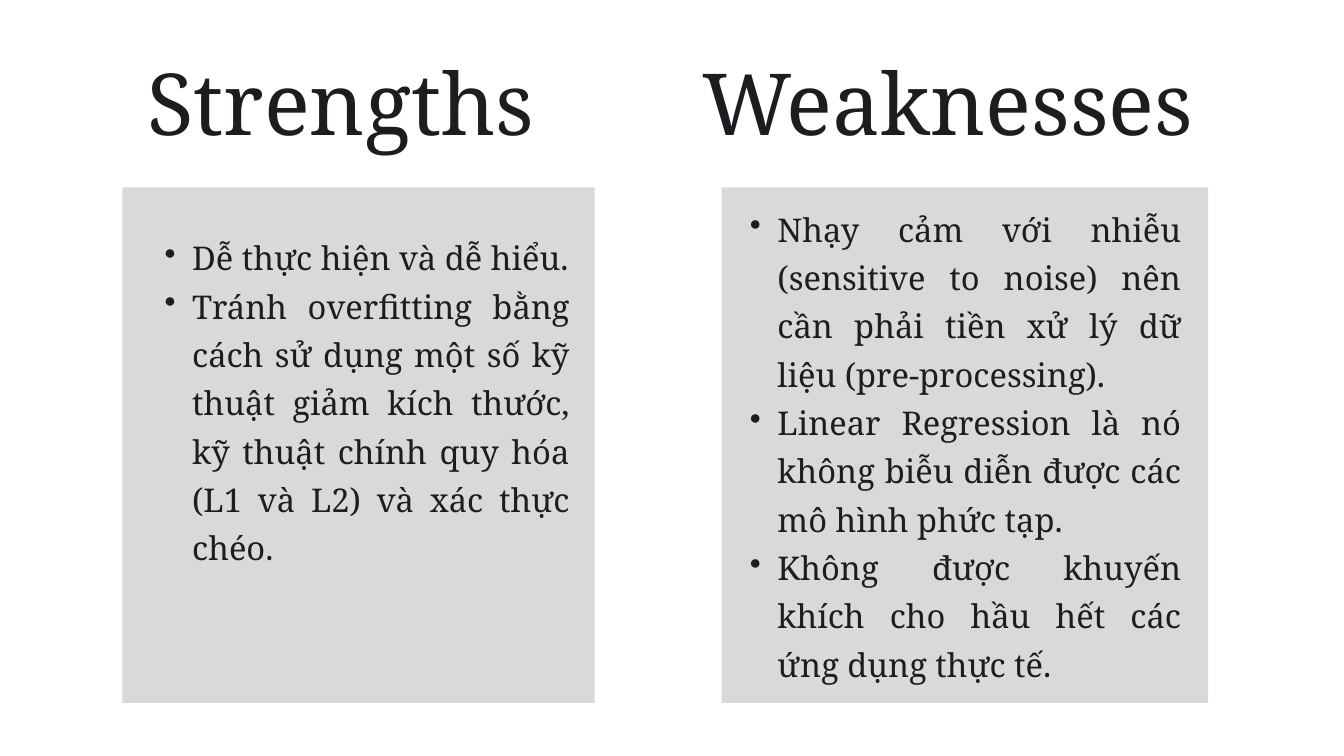
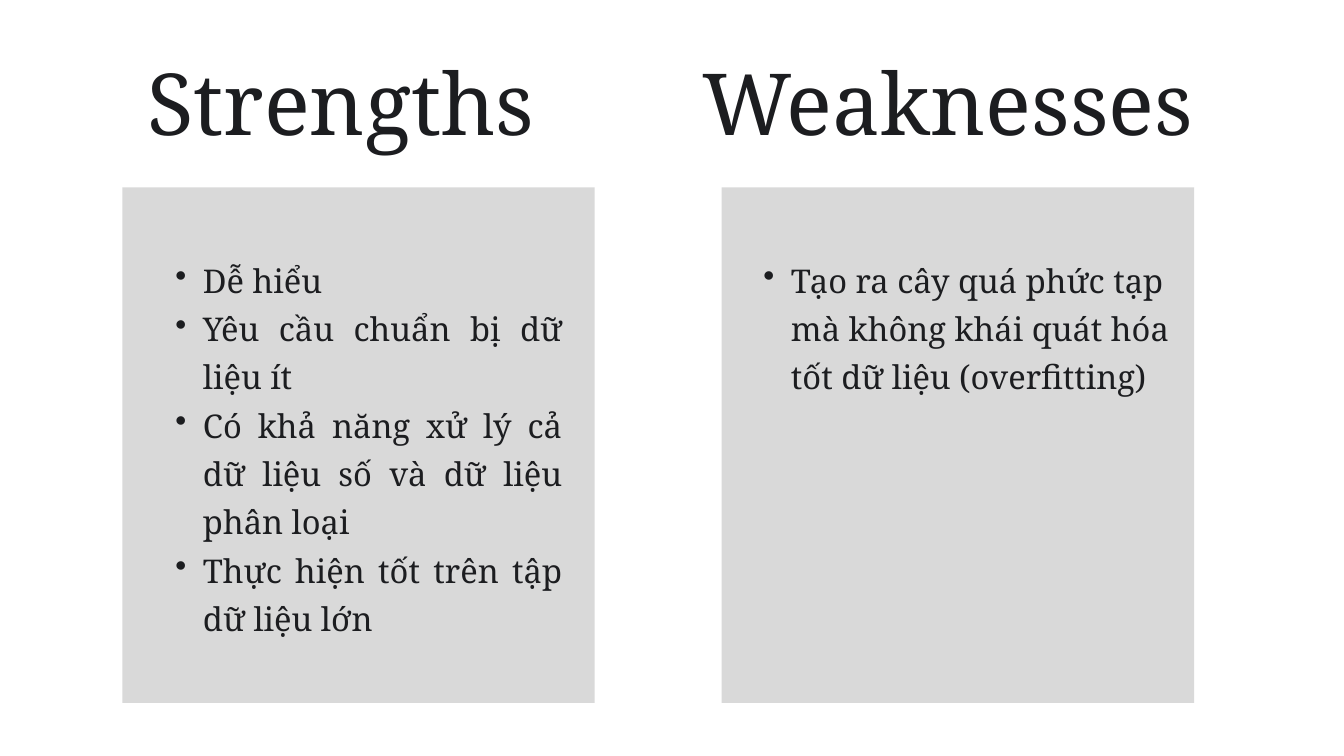
"""Build two slides that compare the strengths and weaknesses of a model."""
from dataclasses import dataclass

from lxml.etree import SubElement
from pptx import Presentation
from pptx.dml.color import RGBColor
from pptx.enum.shapes import MSO_SHAPE
from pptx.enum.text import MSO_AUTO_SIZE, PP_ALIGN
from pptx.oxml.ns import qn
from pptx.util import Inches, Length, Pt


@dataclass(frozen=True)
class Theme:
    font: str = "Noto Serif"
    ink: RGBColor = RGBColor(0x1C, 0x1D, 0x20)
    panel: RGBColor = RGBColor(0xD9, 0xD9, 0xD9)
    paper: RGBColor = RGBColor(0xFF, 0xFF, 0xFF)
    title_size: Length = Pt(91.7)
    title_spacing: Length = Pt(110)
    body_size: Length = Pt(35)
    body_spacing: Length = Pt(51.8)
    bullet_margin: Length = Inches(0.83)
    bullet_hang: Length = Inches(0.41)


@dataclass(frozen=True)
class Area:
    left: float
    top: float
    width: float
    height: float

    def lengths(self) -> tuple[Length, ...]:
        return tuple(Inches(n) for n in (self.left, self.top, self.width, self.height))


@dataclass(frozen=True)
class Heading:
    text: str
    area: Area


@dataclass(frozen=True)
class Column:
    heading: Heading
    panel: Area
    body: Area
    points: tuple[str, ...]
    align: PP_ALIGN = PP_ALIGN.JUSTIFY


THEME = Theme()
STRENGTHS = Heading("Strengths", Area(2.19, 0.74, 6.29, 1.52))
WEAKNESSES = Heading("Weaknesses", Area(10.45, 0.74, 8.14, 1.52))
LEFT_PANEL = Area(1.82, 2.79, 7.03, 7.67)

PAGES = (
    (
        Column(STRENGTHS, LEFT_PANEL, Area(2.03, 3.41, 6.45, 4.99), (
            "Dễ thực hiện và dễ hiểu.",
            "Tránh overfitting bằng cách sử dụng một số kỹ thuật giảm kích thước, "
            "kỹ thuật chính quy hóa (L1 và L2) và xác thực chéo.",
        )),
        Column(WEAKNESSES, Area(10.74, 2.79, 7.24, 7.67), Area(10.74, 2.98, 6.84, 7.15), (
            "Nhạy cảm với nhiễu (sensitive to noise) nên cần phải tiền xử lý "
            "dữ liệu (pre-processing).",
            "Linear Regression là nó không biễu diễn được các mô hình phức tạp.",
            "Không được khuyến khích cho hầu hết các ứng dụng thực tế.",
        )),
    ),
    (
        Column(STRENGTHS, LEFT_PANEL, Area(2.19, 3.74, 6.18, 5.71), (
            "Dễ hiểu",
            "Yêu cầu chuẩn bị dữ liệu ít",
            "Có khả năng xử lý cả dữ liệu số và dữ liệu phân loại",
            "Thực hiện tốt trên tập dữ liệu lớn",
        )),
        Column(WEAKNESSES, Area(10.74, 2.79, 7.03, 7.67), Area(10.94, 3.74, 6.5, 2.11), (
            "Tạo ra cây quá phức tạp mà không khái quát hóa tốt dữ liệu (overfitting)",
        ), PP_ALIGN.LEFT),
    ),
)


def add_panel(page, area: Area) -> None:
    panel = page.shapes.add_shape(MSO_SHAPE.RECTANGLE, *area.lengths())
    panel.shadow.inherit = False
    panel.fill.solid()
    panel.fill.fore_color.rgb = THEME.panel
    panel.line.fill.background()


def add_text(page, area: Area, lines: tuple[str, ...], size: Length, spacing: Length,
             align: PP_ALIGN = PP_ALIGN.LEFT, bulleted: bool = False) -> None:
    frame = page.shapes.add_textbox(*area.lengths()).text_frame
    frame.word_wrap = True
    frame.auto_size = MSO_AUTO_SIZE.SHAPE_TO_FIT_TEXT
    frame.margin_left = frame.margin_top = frame.margin_right = frame.margin_bottom = 0
    frame.text = "\n".join(lines)
    for para in frame.paragraphs:
        if bulleted:
            add_bullet(para)
        para.alignment = align
        para.line_spacing = spacing
        for span in para.runs:
            span.font.name = THEME.font
            span.font.size = size
            span.font.color.rgb = THEME.ink


def add_bullet(para) -> None:
    para.level = 1
    properties = para._p.get_or_add_pPr()
    properties.set("marL", str(THEME.bullet_margin))
    properties.set("indent", str(-THEME.bullet_hang))
    SubElement(properties, qn("a:buChar")).set("char", "•")


def add_column(page, column: Column) -> None:
    add_panel(page, column.panel)
    add_text(page, column.heading.area, (column.heading.text,),
             THEME.title_size, THEME.title_spacing)
    add_text(page, column.body, column.points, THEME.body_size, THEME.body_spacing,
             column.align, bulleted=True)


def main() -> None:
    deck = Presentation()
    deck.slide_width, deck.slide_height = Inches(20), Inches(11.25)
    for columns in PAGES:
        page = deck.slides.add_slide(deck.slide_layouts[6])
        page.background.fill.solid()
        page.background.fill.fore_color.rgb = THEME.paper
        for column in columns:
            add_column(page, column)
    deck.save("out.pptx")


if __name__ == "__main__":
    main()
